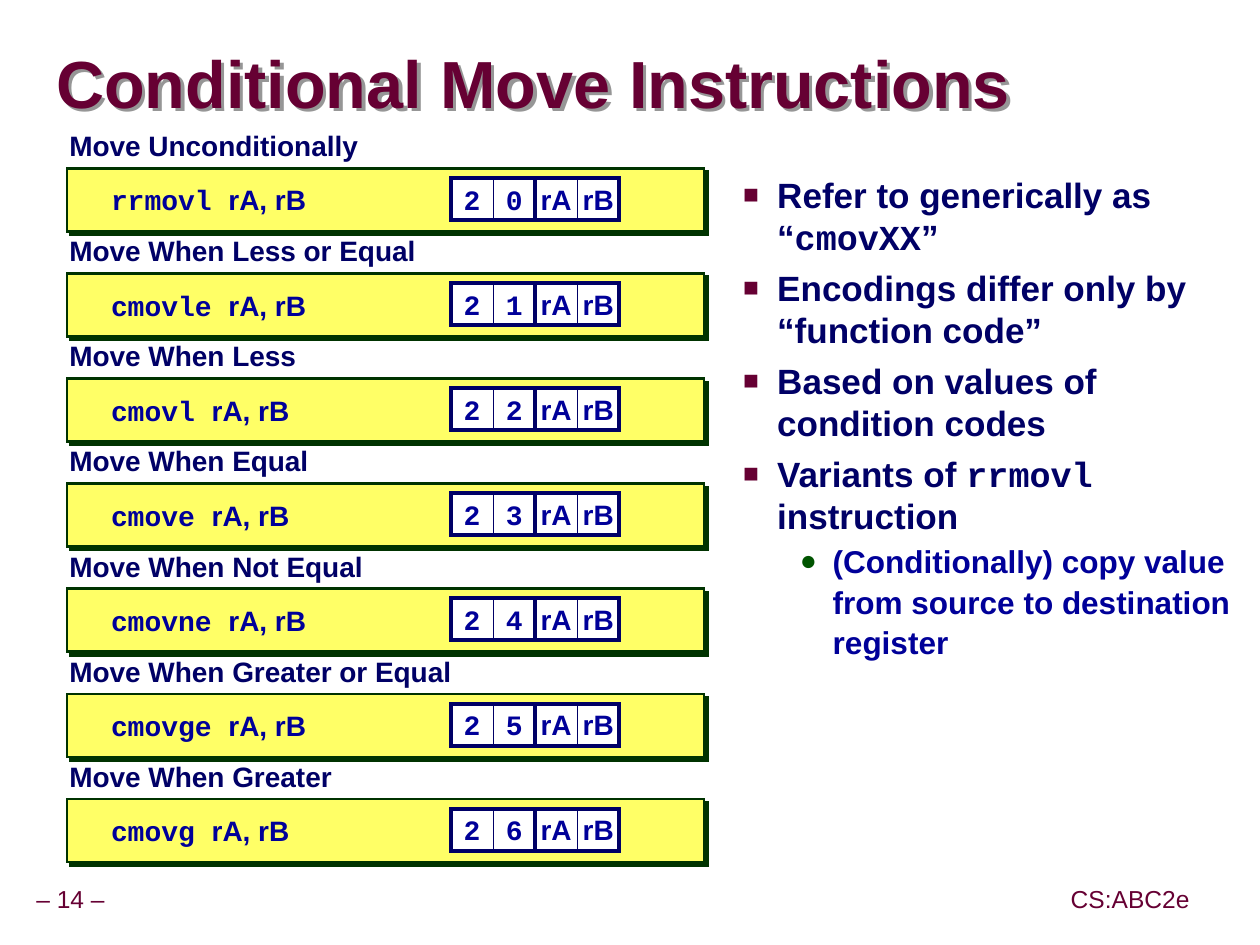
from lxml.etree import SubElement
from pptx import Presentation
from pptx.dml.color import RGBColor
from pptx.enum.shapes import MSO_SHAPE
from pptx.enum.text import MSO_ANCHOR, PP_ALIGN
from pptx.oxml.ns import qn
from pptx.util import Pt

MAROON, NAVY, BLUE = "660033", "000066", "000099"
GREEN, YELLOW, WHITE = "003300", "FFFF66", "FFFFFF"
SANS, MONO = "Arial", "Courier New"

MOVES = [
    ("Unconditionally", "rrmovl"),
    ("When Less or Equal", "cmovle"),
    ("When Less", "cmovl"),
    ("When Equal", "cmove"),
    ("When Not Equal", "cmovne"),
    ("When Greater or Equal", "cmovge"),
    ("When Greater", "cmovg"),
]
POINTS = [
    [("Refer to generically as “", SANS), ("cmovXX", MONO), ("”", SANS)],
    [("Encodings differ only by “function code”", SANS)],
    [("Based on values of condition codes", SANS)],
    [("Variants of ", SANS), ("rrmovl", MONO), (" instruction", SANS)],
]
DETAIL = [("(Conditionally) copy value from source to destination register", SANS)]
POINT_STYLE = dict(size=20, color=NAVY, char="■", bullet_color=MAROON, scale=75,
                   margin=58.3, indent=-19.4, before=5, spacing=1.0)
DETAIL_STYLE = dict(size=18, color=BLUE, char="●", bullet_color="005400", scale=90,
                    margin=90, indent=-18.7, before=1.8, spacing=1.07)


def rgb(value):
    """Turn a hex string into a colour."""
    return RGBColor.from_string(value)


def assign(target, values):
    """Set each named attribute of the target."""
    for name, value in values.items():
        setattr(target, name, value)


def write(paragraph, runs, size, color, bold=True):
    """Fill a paragraph with (text, font) runs."""
    for text, face in runs:
        run = paragraph.add_run()
        run.text = text
        assign(run.font, dict(name=face, size=Pt(size), bold=bold))
        run.font.color.rgb = rgb(color)


def set_frame(frame, inset=(7.2, 3.6), wrap=False, anchor=MSO_ANCHOR.MIDDLE):
    """Set the wrapping, anchor and insets of a text frame."""
    across, down = (Pt(value) for value in inset)
    assign(frame, dict(word_wrap=wrap, vertical_anchor=anchor, margin_left=across,
                       margin_right=across, margin_top=down, margin_bottom=down))


def add_label(slide, box, runs, size, color, bold=True, spacing=1.0,
              align=PP_ALIGN.LEFT, **frame_options):
    """Place one paragraph of text and return its box."""
    label = slide.shapes.add_textbox(*map(Pt, box))
    set_frame(label.text_frame, **frame_options)
    paragraph = label.text_frame.paragraphs[0]
    assign(paragraph, dict(line_spacing=spacing, alignment=align))
    write(paragraph, runs, size, color, bold)
    return label


def add_rect(shapes, box, line, width, fill=None):
    """Place a rectangle with sharp corners and no shadow."""
    rect = shapes.add_shape(MSO_SHAPE.RECTANGLE, *map(Pt, box))
    rect.shadow.inherit = False
    rect.line.color.rgb = rgb(line)
    rect.line.width = Pt(width)
    SubElement(rect._element.spPr.find(qn("a:ln")), qn("a:miter"), lim="800000")
    if fill:
        rect.fill.solid()
        rect.fill.fore_color.rgb = rgb(fill)
    else:
        rect.fill.background()
    return rect


def add_shadow(shape, color, distance):
    """Give a shape a hard shadow to the lower right."""
    shape.shadow.inherit = False
    effects = shape._element.spPr.find(qn("a:effectLst"))
    shadow = SubElement(effects, qn("a:outerShdw"), blurRad="0", dist=str(Pt(distance)),
                        dir="2700000", algn="ctr", rotWithShape="0")
    SubElement(shadow, qn("a:srgbClr"), val=color)


def add_title(slide, box):
    """Write the title with its shadow."""
    title = add_label(slide, box, [("Conditional Move Instructions", SANS)], 38,
                      MAROON, spacing=0.87, inset=(0, 0), wrap=True)
    add_shadow(title, "969696", 2.8)


def add_byte(slide, box, halves, face):
    """Draw one byte as two cells in a heavy frame."""
    left, top, width, height = box
    group = slide.shapes.add_group_shape()
    for column, text in enumerate(halves):
        cell_box = (left + column * width / 2, top, width / 2, height)
        cell = add_rect(group.shapes, cell_box, NAVY, 0.5, WHITE)
        set_frame(cell.text_frame)
        paragraph = cell.text_frame.paragraphs[0]
        paragraph.alignment = PP_ALIGN.CENTER
        write(paragraph, [(text, face)], 16, BLUE)
    add_rect(group.shapes, box, NAVY, 2.25)


def add_move(slide, box, condition, mnemonic, code):
    """Draw one instruction: heading, yellow panel and encoding."""
    left, top, width, height = box
    panel = add_rect(slide.shapes, (left + 2.3, top + 24, width - 2, 36), GREEN, 1.5, YELLOW)
    add_shadow(panel, GREEN, 2.8)
    add_label(slide, (left + 20.3, top + 30, 170, 24),
              [(f"{mnemonic} ", MONO), ("rA, rB", SANS)], 16, BLUE)
    add_label(slide, (left, top, 230, 24), [(f"Move {condition}", SANS)], 16, NAVY,
              spacing=0.9, inset=(3.6, 3.6), anchor=MSO_ANCHOR.TOP)
    add_byte(slide, (left + 221.5, top + 29.5, 48, 24), ("2", str(code)), MONO)
    add_byte(slide, (left + 269.5, top + 29.5, 48, 24), ("rA", "rB"), SANS)


def add_moves(slide, box):
    """Stack the instructions in equal rows."""
    left, top, width, height = box
    pitch = height / len(MOVES)
    for code, (condition, mnemonic) in enumerate(MOVES):
        add_move(slide, (left, top + code * pitch, width, pitch), condition, mnemonic, code)


def add_point(paragraph, runs, size, color, char, bullet_color, scale,
              margin, indent, before, spacing):
    """Write one bulleted paragraph."""
    assign(paragraph, dict(space_before=Pt(before), line_spacing=spacing))
    properties = paragraph._p.get_or_add_pPr()
    properties.set("marL", str(Pt(margin)))
    properties.set("indent", str(Pt(indent)))
    SubElement(SubElement(properties, qn("a:buClr")), qn("a:srgbClr"), val=bullet_color)
    SubElement(properties, qn("a:buSzPct"), val=str(scale * 1000))
    SubElement(properties, qn("a:buFont"), typeface=SANS)
    SubElement(properties, qn("a:buChar"), char=char)
    write(paragraph, runs, size, color)


def add_remarks(slide, box):
    """Write the bulleted remarks."""
    frame = slide.shapes.add_textbox(*map(Pt, box)).text_frame
    set_frame(frame, wrap=True, anchor=MSO_ANCHOR.TOP)
    remarks = [(runs, POINT_STYLE) for runs in POINTS] + [(DETAIL, DETAIL_STYLE)]
    for index, (runs, style) in enumerate(remarks):
        paragraph = frame.add_paragraph() if index else frame.paragraphs[0]
        add_point(paragraph, runs, **style)


def add_footer(slide, box):
    """Write the page number at the left and the course at the right."""
    left, top, width, height = box
    extent = 80
    for text, start in (("– 14 –", left), ("CS:ABC2e", left + width - extent)):
        add_label(slide, (start, top, extent, height), [(text, SANS)], 14, MAROON,
                  bold=False, spacing=0.9, align=PP_ALIGN.CENTER, inset=(3.6, 3.6))


def main():
    """Build and save the slide."""
    deck = Presentation()
    assign(deck, dict(slide_width=Pt(719.28), slide_height=Pt(539.28)))
    slide = deck.slides.add_slide(deck.slide_layouts[6])
    add_footer(slide, (0.3, 503, 684.9, 22))
    add_title(slide, (32, 19.5, 685, 61))
    add_remarks(slide, (378.3, 95.5, 341, 410))
    add_moves(slide, (36, 72, 365.6, 420))
    deck.save("out.pptx")


if __name__ == "__main__":
    main()
